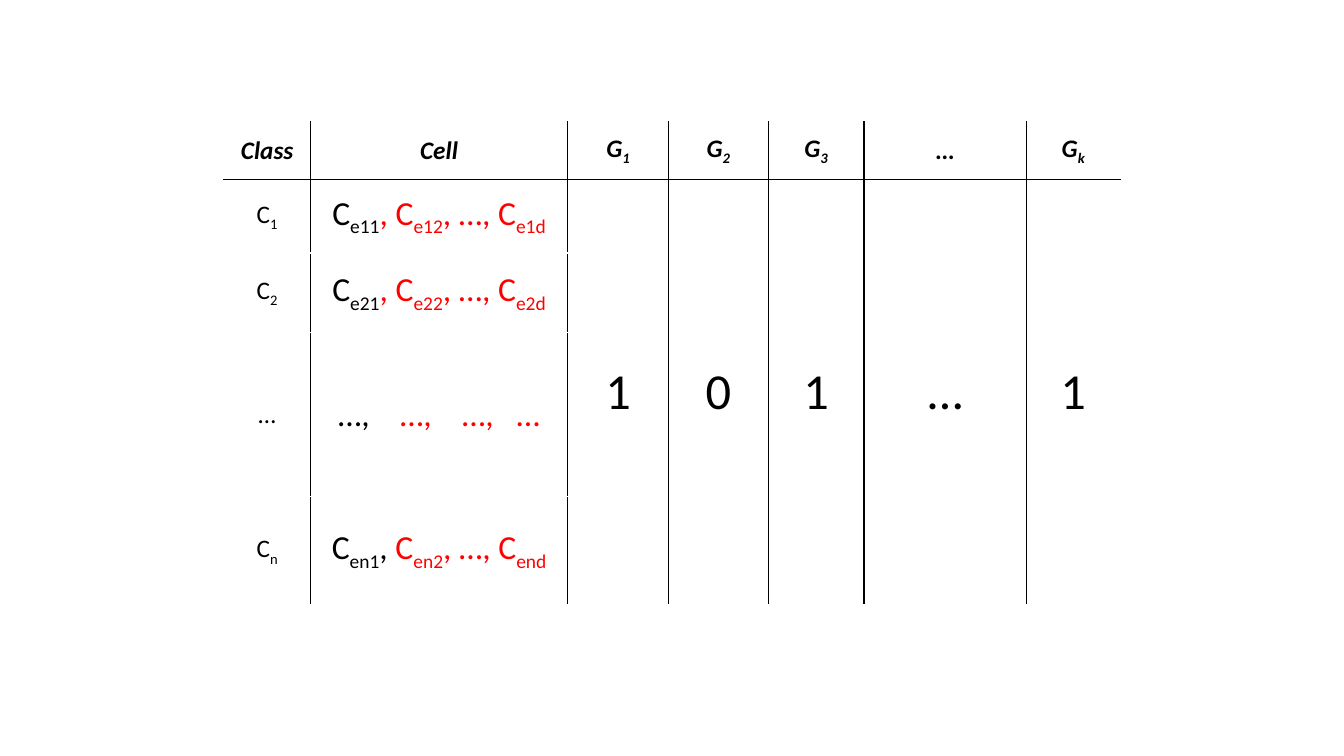
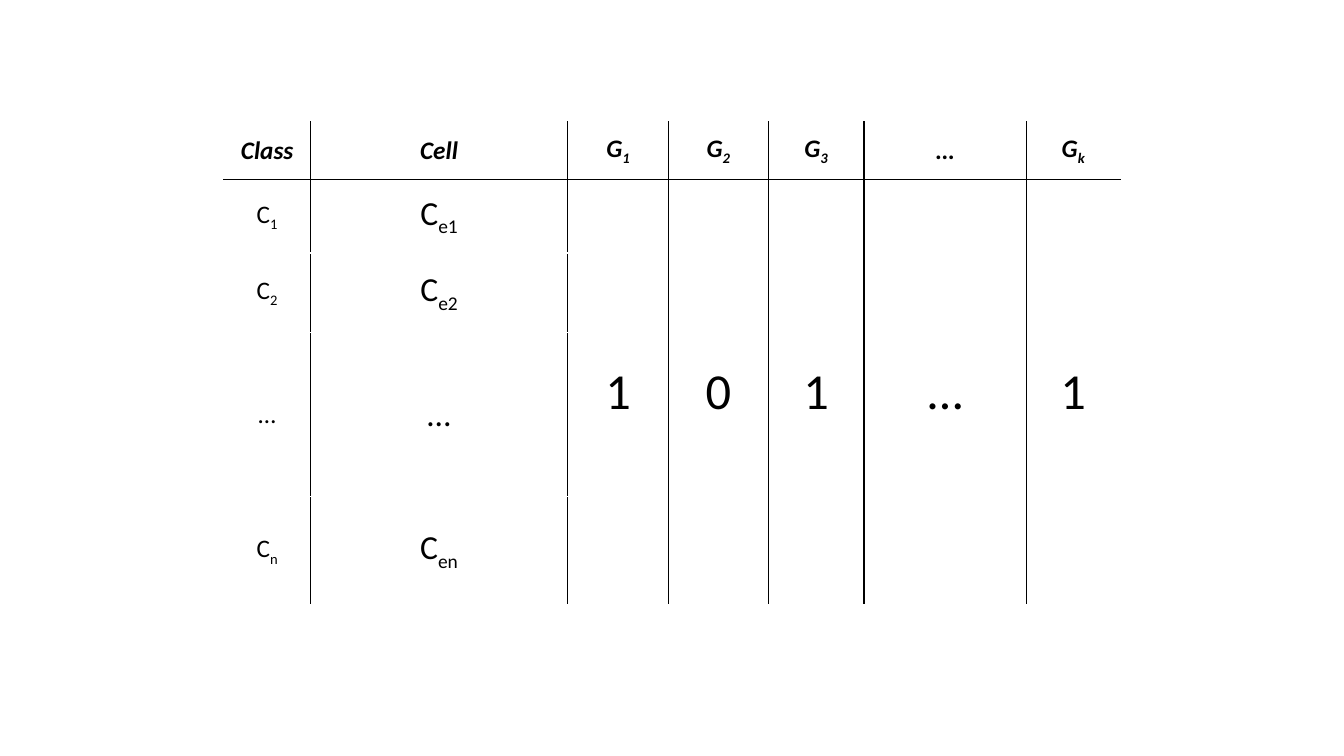
from dataclasses import dataclass

from lxml.etree import Element, SubElement
from pptx import Presentation
from pptx.dml.color import RGBColor
from pptx.enum.text import MSO_ANCHOR, PP_ALIGN
from pptx.oxml.ns import qn
from pptx.util import Inches, Pt

FONT = "Calibri"
BLACK = "000000"
WHITE = "FFFFFF"
RED = "FF0000"
LABEL_SIZE = 18
CELL_SIZE = 24
BIT_SIZE = 36
BORDER_WIDTH = Pt(0.96)
COLUMN_WIDTHS = [0.86, 2.55, 1, 0.99, 0.95, 1.61, 0.93]
ROW_HEIGHTS = [0.57, 0.73, 0.79, 1.63, 1.07]
FIRST_BIT_COLUMN = 2
BITS = ["1", "0", "1", "…", "1"]


@dataclass
class Piece:
    text: str
    color: str = BLACK
    subscript: bool = False
    spacing: float = 0


def color_of(value):
    return RGBColor.from_string(value)


def indexed(letter, index, color=BLACK):
    return [Piece(letter, color), Piece(index, color, True)]


def label(letter, index):
    return [Piece("…")] if index == "…" else indexed(letter, index)


def cell_list(index, comma_color):
    return [
        *indexed("C", f"e{index}1"),
        Piece(", ", comma_color),
        *indexed("C", f"e{index}2", RED),
        Piece(", …, ", RED),
        *indexed("C", f"e{index}d", RED),
    ]


def ellipsis_list():
    pieces = [Piece("…,")]
    for text, spacing in [("…,", 16.3), ("…,", 16.3), ("…", 10.9)]:
        pieces += [Piece(" ", RED, spacing=spacing), Piece(text, RED)]
    return pieces


def write(cell, pieces, size, heading=False):
    cell.vertical_anchor = MSO_ANCHOR.MIDDLE
    para = cell.text_frame.paragraphs[0]
    para.alignment = PP_ALIGN.CENTER
    for piece in pieces:
        span = para.add_run()
        span.text = piece.text
        span.font.name = FONT
        span.font.size = Pt(size)
        span.font.bold = heading
        span.font.italic = heading
        span.font.color.rgb = color_of(piece.color)
        properties = span.font._element
        if piece.subscript:
            properties.set("baseline", "-25000")
        if piece.spacing:
            properties.set("spc", str(round(piece.spacing * 100)))


def border_line(side, color):
    line = Element(qn(f"a:ln{side}"), w=str(BORDER_WIDTH))
    fill = SubElement(line, qn("a:solidFill"))
    SubElement(fill, qn("a:srgbClr"), val=color)
    return line


def style_cell(cell, row, column):
    cell.fill.background()
    colors = {
        "L": WHITE if column == 0 else BLACK,
        "R": WHITE if column == len(COLUMN_WIDTHS) - 1 else BLACK,
    }
    if not cell.is_spanned:
        colors["T"] = BLACK if row == 1 else WHITE
        colors["B"] = BLACK if row == 0 else WHITE
    properties = cell._tc.get_or_add_tcPr()
    for position, (side, color) in enumerate(colors.items()):
        properties.insert(position, border_line(side, color))


def add_grid(page):
    frame = page.shapes.add_table(
        len(ROW_HEIGHTS), len(COLUMN_WIDTHS), Inches(2.22), Inches(1.21),
        Inches(sum(COLUMN_WIDTHS)), Inches(sum(ROW_HEIGHTS)),
    )
    table = frame.table
    table.first_row = False
    table.horz_banding = False
    for column, width in zip(table.columns, COLUMN_WIDTHS):
        column.width = Inches(width)
    for row, height in zip(table.rows, ROW_HEIGHTS):
        row.height = Inches(height)
    last_row = len(ROW_HEIGHTS) - 1
    for column in range(FIRST_BIT_COLUMN, len(COLUMN_WIDTHS)):
        table.cell(1, column).merge(table.cell(last_row, column))
    for row in range(len(ROW_HEIGHTS)):
        for column in range(len(COLUMN_WIDTHS)):
            style_cell(table.cell(row, column), row, column)
    return table


def add_class_slide(deck, cell_contents):
    page = deck.slides.add_slide(deck.slide_layouts[6])
    table = add_grid(page)
    headings = [[Piece("Class")], [Piece("Cell")]]
    headings += [label("G", index) for index in ["1", "2", "3", "…", "k"]]
    for column, heading in enumerate(headings):
        write(table.cell(0, column), heading, LABEL_SIZE, heading=True)
    for row, index in enumerate(["1", "2", "…", "n"], 1):
        write(table.cell(row, 0), label("C", index), LABEL_SIZE)
        write(table.cell(row, 1), cell_contents[row - 1], CELL_SIZE)
    for column, bit in enumerate(BITS, FIRST_BIT_COLUMN):
        write(table.cell(1, column), [Piece(bit)], BIT_SIZE)


def main():
    deck = Presentation()
    deck.slide_width = Inches(13.33)
    deck.slide_height = Inches(7.5)
    add_class_slide(deck, [
        cell_list("1", RED),
        cell_list("2", RED),
        ellipsis_list(),
        cell_list("n", BLACK),
    ])
    add_class_slide(deck, [label("C", index) for index in ["e1", "e2", "…", "en"]])
    deck.save("out.pptx")


if __name__ == "__main__":
    main()
